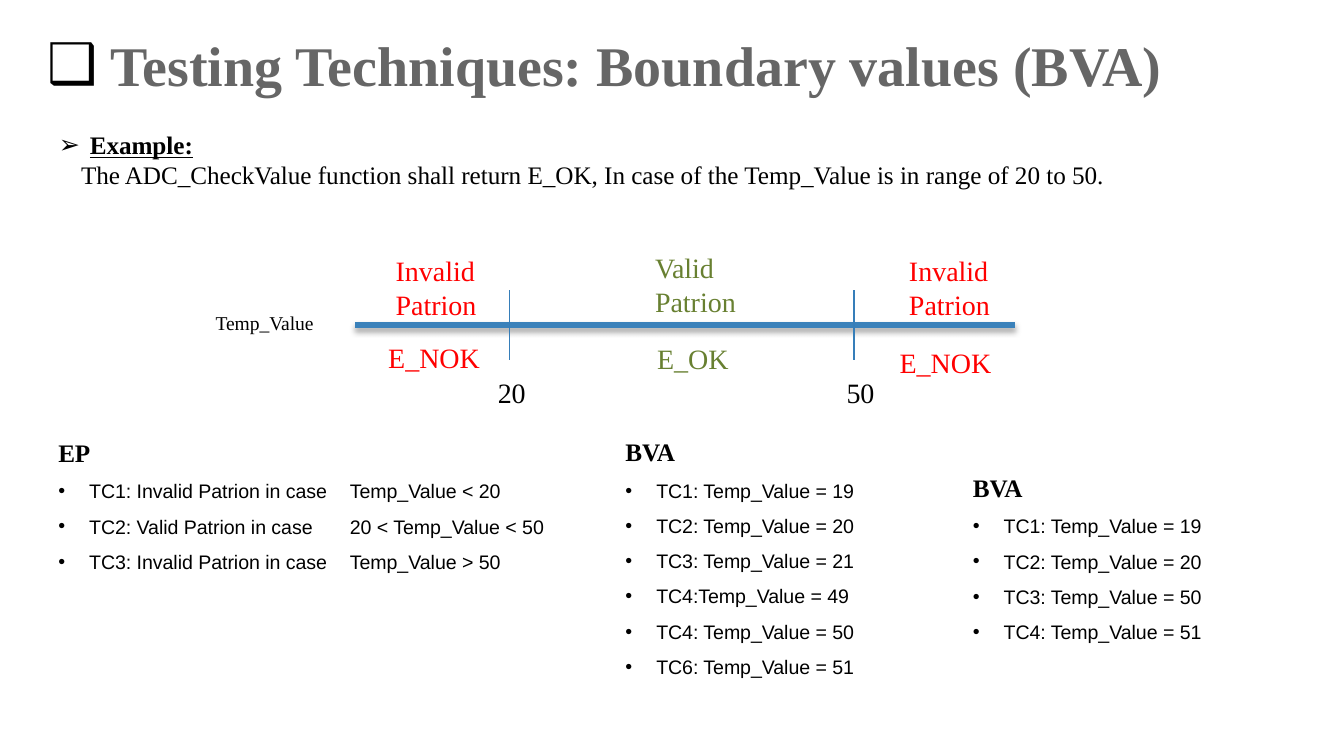
from lxml.etree import SubElement
from pptx import Presentation
from pptx.dml.color import RGBColor
from pptx.enum.shapes import MSO_CONNECTOR
from pptx.enum.text import MSO_ANCHOR
from pptx.oxml.ns import qn
from pptx.util import Pt

PX = 4572  # EMU per px, 200 px to the inch
COLORS = {
    "text": "000000",
    "title": "666666",
    "axis": "3A81BA",
    "tick": "367EB9",
    "invalid": "FF0000",
    "valid": "688031",
}
SERIF, SANS = "Times New Roman", "Arial"


class SlideBuilder:
    """Holds the style and the current slide."""

    def __init__(self, presentation):
        self.slide = presentation.slides.add_slide(presentation.slide_layouts[6])

    def text_box(self, left, top, width, height):
        box = self.slide.shapes.add_textbox(left * PX, top * PX, width * PX, height * PX)
        box.text_frame.word_wrap = True
        return box.text_frame

    def format(self, paragraph, size, color="text", font=SERIF, bold=False, underline=False):
        for run in paragraph.runs:
            run.font.size = Pt(size)
            run.font.name = font
            run.font.bold = bold
            run.font.underline = underline
            run.font.color.rgb = RGBColor.from_string(COLORS[color])

    def bullet(self, paragraph, character, indent, tab=None):
        properties = paragraph._p.get_or_add_pPr()
        properties.set("marL", str(indent * PX))
        properties.set("indent", str(-indent * PX))
        bullet_color = SubElement(properties, qn("a:buClr"))
        SubElement(bullet_color, qn("a:srgbClr"), val=COLORS["text"])
        SubElement(properties, qn("a:buFont"), typeface=SANS)
        SubElement(properties, qn("a:buChar"), char=character)
        if tab:
            tabs = SubElement(properties, qn("a:tabLst"))
            SubElement(tabs, qn("a:tab"), pos=str(tab * PX), algn="l")

    def title(self, left, top, width, height, text):
        frame = self.text_box(left, top, width, height)
        frame.vertical_anchor = MSO_ANCHOR.MIDDLE
        frame.text = text
        self.format(frame.paragraphs[0], 30, "title", bold=True)
        self.bullet(frame.paragraphs[0], "❑", 94)

    def label(self, left, top, width, height, text, color="text", size=15):
        frame = self.text_box(left, top, width, height)
        frame.text = text
        self.format(frame.paragraphs[0], size, color)

    def example(self, left, top, width, height, heading, sentence):
        frame = self.text_box(left, top, width, height)
        frame.text = heading
        self.format(frame.paragraphs[0], 13.5, bold=True, underline=True)
        self.bullet(frame.paragraphs[0], "➢", 46)
        paragraph = frame.add_paragraph()
        paragraph.text = sentence
        self.format(paragraph, 13.5)
        paragraph._p.get_or_add_pPr().set("marL", str(33 * PX))

    def case_list(self, left, top, width, height, heading, cases, tab=None):
        frame = self.text_box(left, top, width, height)
        frame.text = heading
        self.format(frame.paragraphs[0], 13.5, bold=True)
        for case in cases:
            paragraph = frame.add_paragraph()
            paragraph.text = case
            paragraph.line_spacing = 1.5
            self.format(paragraph, 10.5, font=SANS)
            self.bullet(paragraph, "•", 46, tab)

    def line(self, x1, y1, x2, y2, color, weight, shadow=False):
        connector = self.slide.shapes.add_connector(
            MSO_CONNECTOR.STRAIGHT, x1 * PX, y1 * PX, x2 * PX, y2 * PX)
        connector.line.color.rgb = RGBColor.from_string(COLORS[color])
        connector.line.width = Pt(weight)
        effects = SubElement(connector._element.spPr, qn("a:effectLst"))
        if shadow:
            outer = SubElement(effects, qn("a:outerShdw"), blurRad=str(Pt(3.1)),
                               dist=str(Pt(1.8)), dir="5400000", rotWithShape="0")
            shadow_color = SubElement(outer, qn("a:srgbClr"), val=COLORS["text"])
            SubElement(shadow_color, qn("a:alpha"), val="35000")


def main():
    presentation = Presentation()
    presentation.slide_width = 2000 * PX
    presentation.slide_height = 1125 * PX
    builder = SlideBuilder(presentation)

    # Title and example
    builder.title(51, 34, 1800, 124, "Testing Techniques: Boundary values (BVA)")
    builder.example(68, 183, 1660, 112, "Example:",
                    "The ADC_CheckValue function shall return E_OK, In case of the "
                    "Temp_Value is in range of 20 to 50.")

    # Number line with its two boundaries
    builder.line(528, 484, 1510, 484, "axis", 3, shadow=True)
    builder.label(301, 453, 222, 56, "Temp_Value", size=10.5)
    for tick_x, label_left, value in ((758, 721, "20"), (1271, 1240, "50")):
        builder.line(tick_x, 432, tick_x, 536, "tick", 0.75)
        builder.label(label_left, 549, 96, 70, value)

    # Partitions above the line, return values below it
    for left, top, height, text, color in (
        (569, 368, 122, "Invalid Patrion", "invalid"),
        (955, 363, 122, "Valid Patrion", "valid"),
        (1333, 368, 122, "Invalid Patrion", "invalid"),
        (558, 497, 122, "E_NOK", "invalid"),
        (958, 498, 70, "E_OK", "valid"),
        (1319, 504, 122, "E_NOK", "invalid"),
    ):
        builder.label(left, top, 176, height, text, color)

    # Test cases
    builder.case_list(67, 641, 778, 260, "EP", (
        "TC1: Invalid Patrion in case\tTemp_Value < 20",
        "TC2: Valid Patrion in case\t20 < Temp_Value < 50",
        "TC3: Invalid Patrion in case\tTemp_Value > 50",
    ), tab=434)
    builder.case_list(911, 640, 452, 378, "BVA", (
        "TC1: Temp_Value = 19",
        "TC2: Temp_Value = 20",
        "TC3: Temp_Value = 21",
        "TC4:Temp_Value = 49",
        "TC4: Temp_Value = 50",
        "TC6: Temp_Value = 51",
    ))
    builder.case_list(1428, 693, 452, 272, "BVA", (
        "TC1: Temp_Value = 19",
        "TC2: Temp_Value = 20",
        "TC3: Temp_Value = 50",
        "TC4: Temp_Value = 51",
    ))

    presentation.save("out.pptx")


if __name__ == "__main__":
    main()
